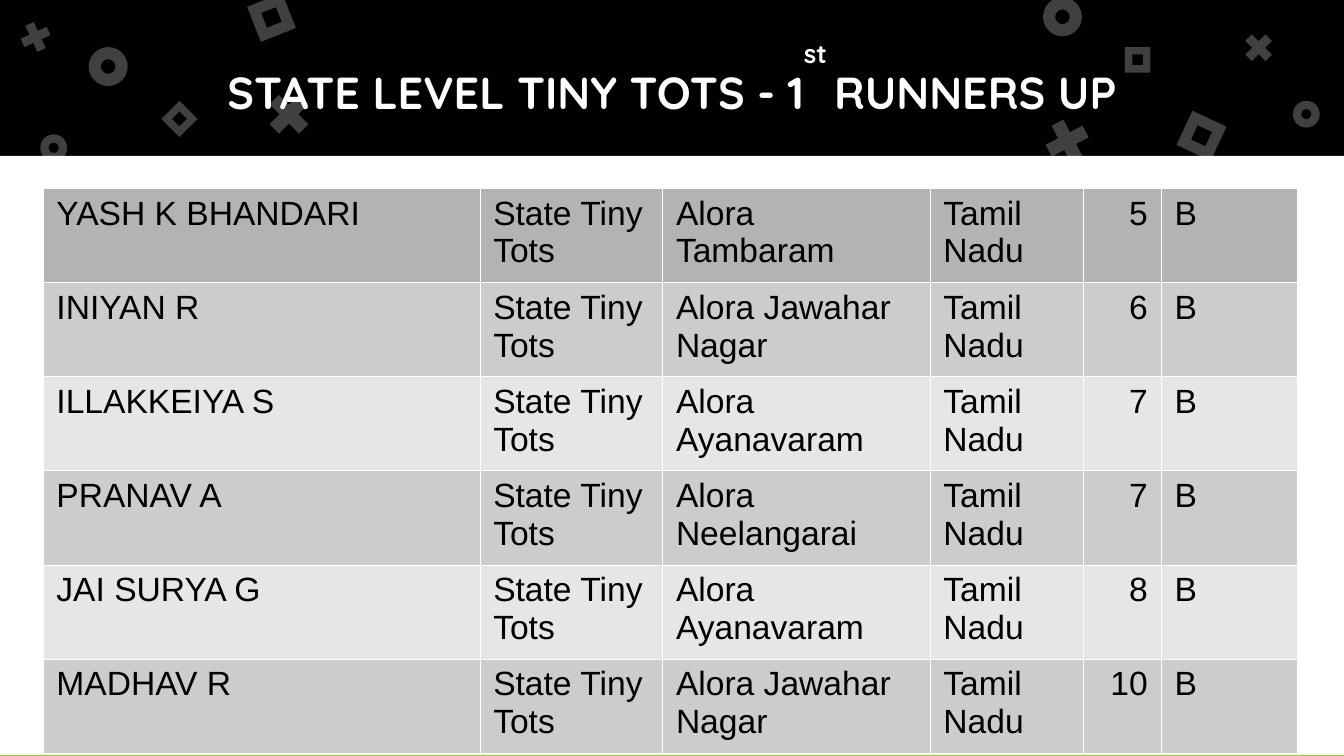
from lxml.etree import SubElement
from pptx import Presentation
from pptx.dml.color import RGBColor
from pptx.enum.shapes import MSO_SHAPE as Shape
from pptx.enum.text import MSO_ANCHOR as Anchor, PP_ALIGN as Align
from pptx.oxml.ns import qn
from pptx.util import Inches, Pt


def rgb(value):
    return RGBColor.from_string(value)


class SlideBuilder:
    title_font, body_font = "Quicksand", "Arial"
    black, white, green = "000000", "FFFFFF", "7BD100"
    header_gray, dark_gray, light_gray = "B3B3B3", "CCCCCC", "E6E6E6"

    def __init__(self, slide):
        self.slide = slide
        slide.background.fill.solid()
        slide.background.fill.fore_color.rgb = rgb(self.green)

    def shape(self, kind, left, top, width, height, color):
        shape = self.slide.shapes.add_shape(
            kind, Inches(left), Inches(top), Inches(width), Inches(height))
        shape.shadow.inherit = False
        shape.fill.solid()
        shape.fill.fore_color.rgb = rgb(color)
        shape.line.fill.background()
        return shape

    def ornament(self, kind, adjustment, left, top, size, rotation):
        shape = self.shape(kind, left, top, size, size, self.white)
        shape.adjustments[0] = adjustment
        shape.rotation = rotation
        color = shape.fill._xPr.find(qn("a:solidFill"))[0]
        SubElement(color, qn("a:alpha")).set("val", "25000")

    def run(self, paragraph, text, font, size, color, bold=False, baseline=0):
        run = paragraph.add_run()
        run.text = text
        run.font.name, run.font.size, run.font.bold = font, Pt(size), bold
        run.font.color.rgb = rgb(color)
        if baseline:
            run._r.get_or_add_rPr().set("baseline", str(baseline * 1000))

    def title(self, left, top, width, height, parts):
        box = self.slide.shapes.add_textbox(
            Inches(left), Inches(top), Inches(width), Inches(height))
        frame = box.text_frame
        frame.word_wrap = True
        frame.vertical_anchor = Anchor.MIDDLE
        frame.margin_left = frame.margin_right = Inches(0.1)
        frame.margin_top = frame.margin_bottom = Inches(0.1)
        paragraph = frame.paragraphs[0]
        paragraph.alignment = Align.CENTER
        for text, baseline in parts:
            self.run(paragraph, text, self.title_font, 24, self.white, True, baseline)

    def cell(self, cell, text, fill, align):
        cell.margin_left = cell.margin_right = Inches(0.1)
        cell.margin_top = cell.margin_bottom = Inches(0.05)
        paragraph = cell.text_frame.paragraphs[0]
        paragraph.alignment = align
        self.run(paragraph, text, self.body_font, 18, self.black)
        # Borders come before the fill in the cell properties
        properties = cell._tc.get_or_add_tcPr()
        for side in ("lnL", "lnR", "lnT", "lnB"):
            border = SubElement(properties, qn(f"a:{side}"), w=str(Pt(0.06)))
            line_fill = SubElement(border, qn("a:solidFill"))
            SubElement(line_fill, qn("a:srgbClr"), val=self.white)
        cell.fill.solid()
        cell.fill.fore_color.rgb = rgb(fill)

    def table(self, left, top, height, widths, first_height, rows, number_column):
        frame = self.slide.shapes.add_table(
            len(rows), len(widths), Inches(left), Inches(top),
            Inches(sum(widths)), Inches(height))
        table = frame.table
        table.first_row = table.horz_banding = False
        for column, width in zip(table.columns, widths):
            column.width = Inches(width)
        for r, row in enumerate(rows):
            # Rows after the first grow to fit their text
            table.rows[r].height = Inches(0 if r else first_height)
            band = self.dark_gray if r % 2 else self.light_gray
            fill = band if r else self.header_gray
            for c, text in enumerate(row):
                align = Align.RIGHT if c == number_column else Align.LEFT
                self.cell(table.cell(r, c), text, fill, align)
        frame.height = Inches(height)


RING = (Shape.DONUT, 0.31)
CROSS = (Shape.MATH_MULTIPLY, 0.235)
SQUARE = (Shape.FRAME, 0.289)

# Kind, left, top, size, rotation
ORNAMENTS = [
    (RING, 0.66, 0.35, 0.29, 0),
    (CROSS, 1.94, 0.64, 0.42, 0),
    (SQUARE, 1.88, -0.01, 0.28, 338.4),
    (RING, 7.76, -0.02, 0.29, 0),
    (CROSS, 7.73, 0.84, 0.42, 17.5),
    (SQUARE, 8.8, 0.87, 0.28, 25),
    (RING, 0.3, 1, 0.2, 0),
    (CROSS, 0.12, 0.13, 0.29, 20.4),
    (SQUARE, 1.24, 0.79, 0.19, 45),
    (RING, 9.62, 0.75, 0.2, 0),
    (CROSS, 9.22, 0.21, 0.29, 0),
    (SQUARE, 8.37, 0.35, 0.19, 0),
]

# Name, centre, level
RUNNERS_UP = [
    ("YASH K BHANDARI", "Tambaram", 5),
    ("INIYAN R", "Jawahar Nagar", 6),
    ("ILLAKKEIYA S", "Ayanavaram", 7),
    ("PRANAV A", "Neelangarai", 7),
    ("JAI SURYA G", "Ayanavaram", 8),
    ("MADHAV R", "Jawahar Nagar", 10),
]


def main():
    deck = Presentation()
    # Widescreen, 16:9
    deck.slide_width, deck.slide_height = Inches(10), Inches(10) * 9 // 16
    builder = SlideBuilder(deck.slides.add_slide(deck.slide_layouts[6]))

    # Header band and page
    band_height = 1.16
    builder.shape(Shape.RECTANGLE, 0, 0, 10, band_height, builder.black)
    builder.shape(Shape.RECTANGLE, 0, band_height, 10, 4.46, builder.white)

    # Ornaments
    for (kind, adjustment), left, top, size, rotation in ORNAMENTS:
        builder.ornament(kind, adjustment, left, top, size, rotation)

    # Title
    builder.title(0.5, 0, 9, band_height, [
        ("STATE LEVEL TINY TOTS - 1", 0), ("st ", 101), ("RUNNERS UP", 0)])

    # Runners-up table
    rows = [(name, "State Tiny Tots", f"Alora {centre}", "Tamil Nadu", str(level), "B")
            for name, centre, level in RUNNERS_UP]
    builder.table(0.32, 1.4, 2.3, [3.25, 1.36, 1.99, 1.14, 0.58, 1.01], 0.38, rows, 4)

    deck.save("out.pptx")


if __name__ == "__main__":
    main()
